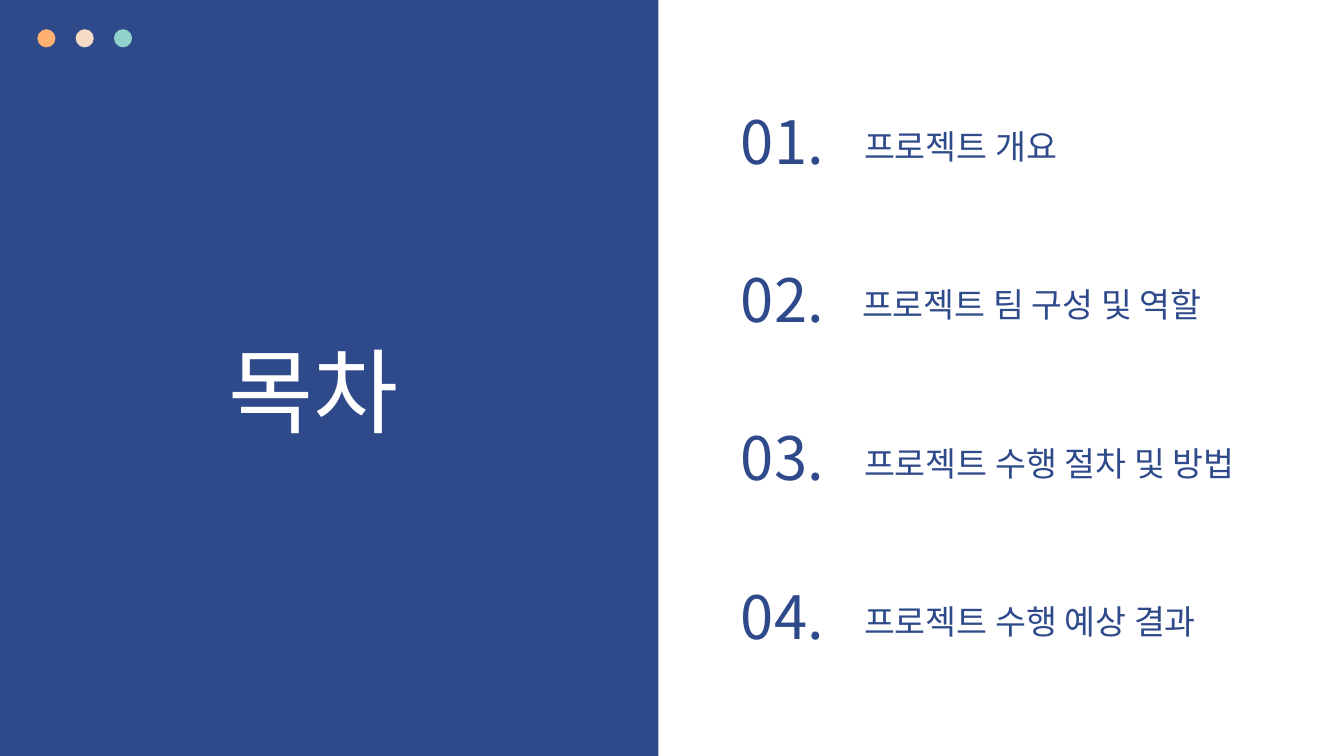
"""Builds a contents slide with a blue title panel and four numbered entries."""
import pptx
import pptx.dml.color
import pptx.enum.shapes
import pptx.enum.text
import pptx.util
from lxml import etree

PX = 9144
FONT = "Noto Sans CJK KR"
COLOURS = {"blue": "2F4A8A", "white": "FFFFFF", "orange": "FFB172", "peach": "F8DBC4", "mint": "90D1CB"}
ANCHOR = pptx.enum.text.MSO_ANCHOR
ALIGN = pptx.enum.text.PP_ALIGN
SHAPE = pptx.enum.shapes.MSO_SHAPE


def write_text(shape, text, size, colour, anchor, align, inset):
    frame = shape.text_frame
    frame.word_wrap = True
    frame.auto_size = pptx.enum.text.MSO_AUTO_SIZE.NONE
    frame.vertical_anchor = anchor
    frame.margin_left = frame.margin_right = inset[0] * PX
    frame.margin_top = frame.margin_bottom = inset[1] * PX
    paragraph = frame.paragraphs[0]
    paragraph.alignment = align
    run = paragraph.add_run()
    run.text = text
    run.font.name = FONT
    run.font.size = pptx.util.Pt(size)
    run.font.color.rgb = pptx.dml.color.RGBColor.from_string(COLOURS[colour])
    properties = run.font._element
    east_asian = etree.SubElement(properties, pptx.oxml.ns.qn("a:ea"))
    east_asian.set("typeface", FONT)


def add_filled(kind, left, top, width, height, colour):
    shape = slide.shapes.add_shape(kind, left * PX, top * PX, width * PX, height * PX)
    shape.shadow.inherit = False
    shape.fill.solid()
    shape.fill.fore_color.rgb = pptx.dml.color.RGBColor.from_string(COLOURS[colour])
    shape.line.fill.background()


presentation = pptx.Presentation()
presentation.slide_width = 1333 * PX
presentation.slide_height = 750 * PX
slide = presentation.slides.add_slide(presentation.slide_layouts[5])

add_filled(SHAPE.RECTANGLE, 0, 0, 653, 750, "blue")
for index, colour in enumerate(["orange", "peach", "mint"]):
    add_filled(SHAPE.OVAL, 37 + 38 * index, 29, 18, 18, colour)

title = slide.shapes.title
title.left, title.top, title.width, title.height = 217 * PX, 326 * PX, 256 * PX, 121 * PX
slide.shapes._spTree.append(title._element)
write_text(title, "목차", 66, "white", ANCHOR.MIDDLE, ALIGN.LEFT, (10, 5))

entries = [
    ("프로젝트 개요", 844, 389),
    ("프로젝트 팀 구성 및 역할", 842, 397),
    ("프로젝트 수행 절차 및 방법", 844, 431),
    ("프로젝트 수행 예상 결과", 844, 389),
]
for index, (label, left, width) in enumerate(entries):
    top = 103 + 157 * index
    number_box = slide.shapes.add_textbox(710 * PX, top * PX, 132 * PX, 85 * PX)
    write_text(number_box, f"{index + 1:02}.", 42.7, "blue", ANCHOR.BOTTOM, ALIGN.CENTER, (13, 13))
    label_box = slide.shapes.add_textbox(left * PX, (top + 9) * PX, width * PX, 68 * PX)
    write_text(label_box, label, 24, "blue", ANCHOR.TOP, ALIGN.LEFT, (13, 13))

presentation.save("out.pptx")
